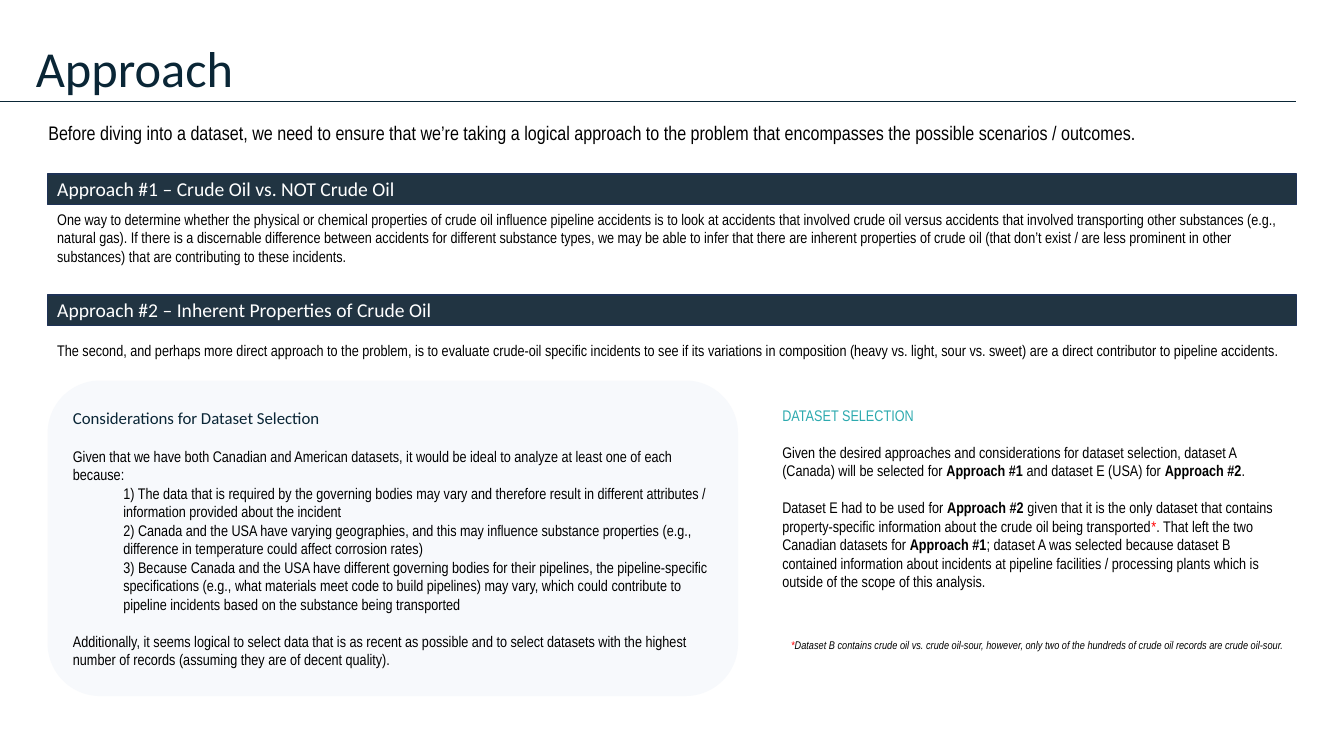
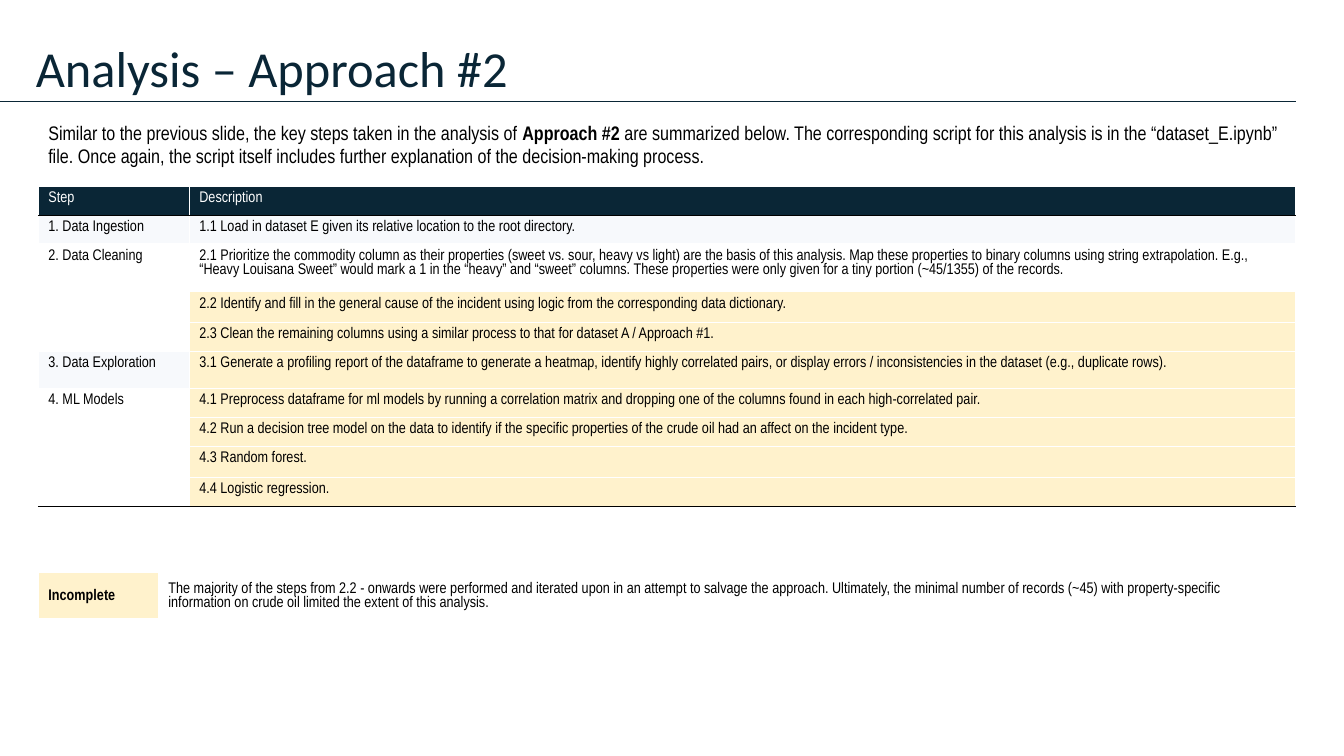
from lxml.etree import SubElement
from pptx import Presentation
from pptx.dml.color import RGBColor
from pptx.enum.shapes import MSO_CONNECTOR, MSO_SHAPE
from pptx.enum.text import MSO_ANCHOR, PP_ALIGN
from pptx.oxml.ns import qn
from pptx.util import Pt

# Shared style
NAVY, BAND, BAND_EDGE = "0A2636", "213442", "1E3256"
PALE, AMBER, TEAL, RED = "F7F9FC", "FFF2CC", "2DAAAF", "FF0000"
BLACK, WHITE = "000000", "FFFFFF"
HEADING, BODY = "Calibri", "Arial Narrow"
RIGHT = 926
BLANK_LINE = 13.2


def color(code):
    return RGBColor.from_string(code)


def write(frame, paragraphs, size=11, name=BODY, ink=BLACK, anchor=MSO_ANCHOR.TOP):
    """Each paragraph is a string or a dict: spans, plus optional styling.

    Each span is a string or a pair: text and "bold" or an ink colour.
    """
    frame.word_wrap = True
    frame.vertical_anchor = anchor
    for index, entry in enumerate(paragraphs):
        entry = {"spans": [entry]} if isinstance(entry, str) else entry
        para = frame.paragraphs[0] if index == 0 else frame.add_paragraph()
        para.alignment = PP_ALIGN.LEFT
        if "before" in entry:
            para.space_before = Pt(entry["before"])
        if "indent" in entry:
            properties = para._p.get_or_add_pPr()
            properties.set("marL", str(Pt(entry["indent"])))
            properties.set("indent", "0")
        para.font.size = Pt(entry.get("size", size))
        para.font.name = entry.get("name", name)
        para.font.color.rgb = color(entry.get("ink", ink))
        para.font.bold = entry.get("bold", False)
        para.font.italic = entry.get("italic", False)
        for piece in entry["spans"]:
            text, style = (piece, None) if isinstance(piece, str) else piece
            span = para.add_run()
            span.text = text
            if style == "bold":
                span.font.bold = True
            elif style:
                span.font.color.rgb = color(style)


def add_text(page, box, paragraphs, **style):
    text_box = page.shapes.add_textbox(*map(Pt, box))
    write(text_box.text_frame, paragraphs, **style)


def add_panel(page, kind, box, fill=None, edge=None):
    panel = page.shapes.add_shape(kind, *map(Pt, box))
    panel.shadow.inherit = False
    if fill:
        panel.fill.solid()
        panel.fill.fore_color.rgb = color(fill)
    else:
        panel.fill.background()
    if edge:
        panel.line.color.rgb = color(edge)
        panel.line.width = Pt(1)
    else:
        panel.line.fill.background()
    return panel.text_frame


def add_page(deck, title, intro, intro_height):
    """Blank page with title, rule below it and opening sentence."""
    page = deck.slides.add_slide(deck.slide_layouts[6])
    add_text(page, (18.5, 23.5, 907.5, 49), [title], size=36, name=HEADING,
             ink=NAVY, anchor=MSO_ANCHOR.MIDDLE)
    rule = page.shapes.add_connector(MSO_CONNECTOR.STRAIGHT, Pt(-6.5), Pt(72.6),
                                     Pt(RIGHT), Pt(72.6))
    rule.line.color.rgb = color(NAVY)
    rule.line.width = Pt(1)
    SubElement(rule._element.spPr, qn("a:effectLst"))
    add_text(page, (27.4, 82.8, 898.6, intro_height), [intro], size=14)
    return page


# Approach page
def add_approach(page, box, heading, body):
    left, top, width, height = box
    band = 21.8
    frame = add_panel(page, MSO_SHAPE.RECTANGLE, (left, top, width, band), BAND, BAND_EDGE)
    write(frame, [heading], size=14, name=HEADING, ink=WHITE, anchor=MSO_ANCHOR.MIDDLE)
    add_text(page, (left, top + band, width, height - band), [body],
             anchor=MSO_ANCHOR.MIDDLE)


def add_considerations(page, box):
    reasons = [
        "1) The data that is required by the governing bodies may vary and therefore result "
        "in different attributes / information provided about the incident",
        "2) Canada and the USA have varying geographies, and this may influence substance "
        "properties (e.g., difference in temperature could affect corrosion rates)",
        "3) Because Canada and the USA have different governing bodies for their pipelines, "
        "the pipeline-specific specifications (e.g., what materials meet code to build "
        "pipelines) may vary, which could contribute to pipeline incidents based on the "
        "substance being transported",
    ]
    write(add_panel(page, MSO_SHAPE.ROUNDED_RECTANGLE, box, PALE), [
        {"spans": ["Considerations for Dataset Selection"], "size": 12,
         "name": HEADING, "ink": NAVY},
        {"spans": ["Given that we have both Canadian and American datasets, it would be ideal "
                   "to analyze at least one of each because:"], "before": BLANK_LINE + 0.6},
        *({"spans": [reason], "indent": 36} for reason in reasons),
        {"spans": ["Additionally, it seems logical to select data that is as recent as "
                   "possible and to select datasets with the highest number of records "
                   "(assuming they are of decent quality)."], "before": BLANK_LINE},
    ], anchor=MSO_ANCHOR.MIDDLE)


def add_selection(page, box):
    left, top, width, height = box
    write(add_panel(page, MSO_SHAPE.ROUNDED_RECTANGLE, box), [
        {"spans": ["DATASET SELECTION"], "ink": TEAL},
        {"spans": ["Given the desired approaches and considerations for dataset selection, "
                   "dataset A (Canada) will be selected for ", ("Approach #1 ", "bold"),
                   "and dataset E (USA) for ", ("Approach #2", "bold"), "."],
         "before": BLANK_LINE},
        {"spans": ["Dataset E had to be used for ", ("Approach #2 ", "bold"),
                   "given that it is the only dataset that contains property-specific "
                   "information about the crude oil being transported", ("*", RED),
                   ". That left the two Canadian datasets for ", ("Approach #1", "bold"),
                   "; dataset A was selected because dataset B contained information about "
                   "incidents at pipeline facilities / processing plants which is outside of "
                   "the scope of this analysis."],
         "before": BLANK_LINE},
    ])
    # Footnote
    add_text(page, (left + 14.4, top + height + 6.4, width - 14.4, 19.4), [
        {"spans": [("*", RED), "Dataset B contains crude oil vs. crude oil-sour, however, only "
                   "two of the hundreds of crude oil records are crude oil-sour."],
         "italic": True}], size=8, anchor=MSO_ANCHOR.MIDDLE)


def build_approach_page(deck):
    page = add_page(deck, "Approach",
                    "Before diving into a dataset, we need to ensure that we’re taking a logical "
                    "approach to the problem that encompasses the possible scenarios / outcomes.",
                    24.5)
    left = 33.8
    width = RIGHT - left + 0.2
    add_approach(page, (left, 124.2, width, 69.3), "Approach #1 – Crude Oil vs. NOT Crude Oil",
                 "One way to determine whether the physical or chemical properties of crude oil "
                 "influence pipeline accidents is to look at accidents that involved crude oil "
                 "versus accidents that involved transporting other substances (e.g., natural "
                 "gas). If there is a discernable difference between accidents for different "
                 "substance types, we may be able to infer that there are inherent properties of "
                 "crude oil (that don’t exist / are less prominent in other substances) that are "
                 "contributing to these incidents.")
    add_approach(page, (left, 210.6, width, 58),
                 "Approach #2 – Inherent Properties of Crude Oil",
                 "The second, and perhaps more direct approach to the problem, is to evaluate "
                 "crude-oil specific incidents to see if its variations in composition (heavy vs. "
                 "light, sour vs. sweet) are a direct contributor to pipeline accidents.")
    add_considerations(page, (left + 0.2, 271.8, 493.2, 225.4))
    add_selection(page, (543.6, 278.3, 382.4, 166.3))


# Analysis page
def style_cell(cell, text, fill=None, ink=BLACK, bold=False, top=WHITE, bottom=WHITE,
               bottom_width=1, anchor=MSO_ANCHOR.TOP):
    properties = cell._tc.get_or_add_tcPr()
    edges = {"L": (WHITE, 1), "R": (WHITE, 1), "T": (top, 1), "B": (bottom, bottom_width)}
    for side, (edge, width) in edges.items():
        line = SubElement(properties, qn(f"a:ln{side}"), w=str(Pt(width)))
        SubElement(SubElement(line, qn("a:solidFill")), qn("a:srgbClr"), val=edge)
    if fill:
        cell.fill.solid()
        cell.fill.fore_color.rgb = color(fill)
    else:
        cell.fill.background()
    write(cell.text_frame, [{"spans": [text] if text else [], "bold": bold}], ink=ink)
    if not text:
        # An empty cell keeps its row low only with a small end mark
        SubElement(cell.text_frame.paragraphs[0]._p, qn("a:endParaRPr"), sz="1100")
    cell.vertical_anchor = anchor


def add_grid(page, left, top, widths, heights):
    grid = page.shapes.add_table(len(heights), len(widths), Pt(left), Pt(top),
                                 Pt(sum(widths)), Pt(sum(heights))).table
    grid.first_row = grid.horz_banding = False
    for column, width in zip(grid.columns, widths):
        column.width = Pt(width)
    for row, height in zip(grid.rows, heights):
        row.height = Pt(height)
    return grid


def add_steps(page, left, top):
    """Steps are grouped by stage; each step has its text and fill."""
    stages = [
        ("1. Data Ingestion", PALE, [
            ("1.1 Load in dataset E given its relative location to the root directory.", PALE)]),
        ("2. Data Cleaning", None, [
            ("2.1 Prioritize the commodity column as their properties (sweet vs. sour, heavy vs "
             "light) are the basis of this analysis. Map these properties to binary columns using "
             "string extrapolation. E.g., “Heavy Louisana Sweet” would mark a 1 in the “heavy” "
             "and “sweet” columns. These properties were only given for a tiny portion (~45/1355) "
             "of the records.", None),
            ("2.2 Identify and fill in the general cause of the incident using logic from the "
             "corresponding data dictionary.", AMBER),
            ("2.3 Clean the remaining columns using a similar process to that for dataset A / "
             "Approach #1.", AMBER)]),
        ("3. Data Exploration", PALE, [
            ("3.1 Generate a profiling report of the dataframe to generate a heatmap, identify "
             "highly correlated pairs, or display errors / inconsistencies in the dataset (e.g., "
             "duplicate rows).", AMBER)]),
        ("4. ML Models", None, [
            ("4.1 Preprocess dataframe for ml models by running a correlation matrix and dropping "
             "one of the columns found in each high-correlated pair.", AMBER),
            ("4.2 Run a decision tree model on the data to identify if the specific properties of "
             "the crude oil had an affect on the incident type.", AMBER),
            ("4.3 Random forest.", AMBER),
            ("4.4 Logistic regression.", AMBER)]),
    ]
    heights = [20.5, 20.4, 34.3, 22, 20.7, 26.5, 20.7, 20.7, 22, 20.7]
    grid = add_grid(page, left, top, (107.8, 790.4), heights)
    for column, label in enumerate(("Step", "Description")):
        style_cell(grid.cell(0, column), label, NAVY, WHITE, bottom=BLACK)
    last, row = len(heights) - 1, 1
    for stage, stage_fill, steps in stages:
        for offset, (step, fill) in enumerate(steps):
            edges = {"top": BLACK} if row == 1 else {}
            if row == last:
                edges = {"bottom": BLACK, "bottom_width": 0.5}
            style_cell(grid.cell(row, 0), "" if offset else stage, stage_fill, **edges)
            style_cell(grid.cell(row, 1), step, fill, **edges)
            row += 1


def add_legend(page, left, top):
    grid = add_grid(page, left, top, (85.7, 812.9), [33])
    style_cell(grid.cell(0, 0), "Incomplete", AMBER, bold=True, bottom_width=3,
               anchor=MSO_ANCHOR.MIDDLE)
    style_cell(grid.cell(0, 1),
               "The majority of the steps from 2.2 - onwards were performed and iterated upon in "
               "an attempt to salvage the approach. Ultimately, the minimal number of records "
               "(~45) with property-specific information on crude oil limited the extent of this "
               "analysis.", bottom_width=3, anchor=MSO_ANCHOR.MIDDLE)


def build_analysis_page(deck):
    intro = {"spans": [
        "Similar to the previous slide, the key steps taken in the analysis of ",
        ("Approach #2 ", "bold"),
        "are summarized below. The corresponding script for this analysis is in the "
        "“dataset_E.ipynb” file. Once again, the script itself includes further explanation of "
        "the decision-making process."]}
    page = add_page(deck, "Analysis – Approach #2", intro, 41)
    add_steps(page, 27.4, 133.2)
    add_legend(page, 27.4, 409.2)


def main():
    deck = Presentation()
    deck.slide_width, deck.slide_height = Pt(960), Pt(540)
    build_approach_page(deck)
    build_analysis_page(deck)
    deck.save("out.pptx")


if __name__ == "__main__":
    main()
